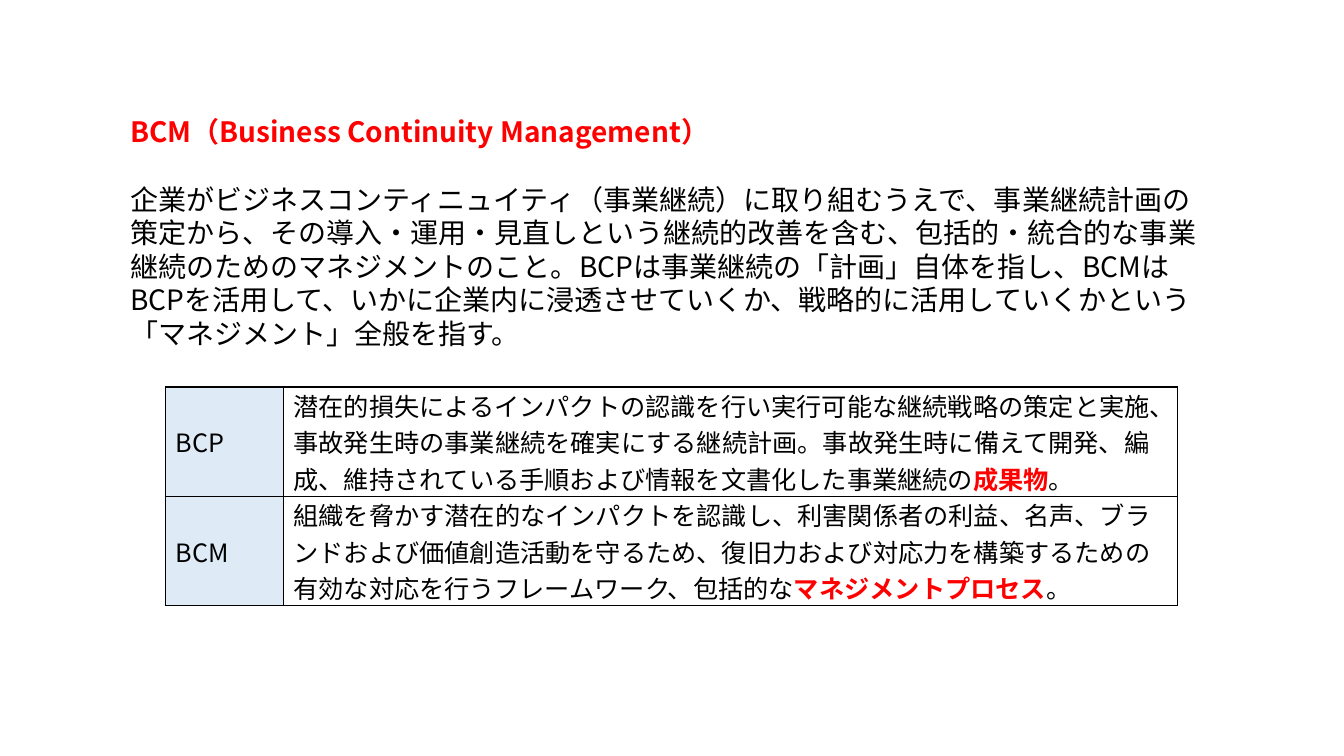
from dataclasses import dataclass

from lxml import etree
from pptx import Presentation
from pptx.dml.color import RGBColor
from pptx.enum import text
from pptx.oxml import ns
from pptx.util import Inches, Pt


@dataclass(frozen=True)
class Theme:
    font: str = "Noto Sans CJK JP"
    ink: str = "000000"
    accent: str = "FF0000"
    label_fill: str = "DEEBF7"
    cell_fill: str = "FFFFFF"
    lead_size: int = 20
    lead_spacing: int = 24
    table_size: int = 18
    table_spacing: int = 26


THEME = Theme()
HEADING = "BCM（Business Continuity Management）"
DEFINITION = (
    "企業がビジネスコンティニュイティ（事業継続）に取り組むうえで、事業継続計画の"
    "策定から、その導入・運用・見直しという継続的改善を含む、包括的・統合的な事業"
    "継続のためのマネジメントのこと。BCPは事業継続の「計画」自体を指し、BCMは"
    "BCPを活用して、いかに企業内に浸透させていくか、戦略的に活用していくかという"
    "「マネジメント」全般を指す。"
)
# Each row: label, explanation, emphasised words, ending
COMPARISON = [
    ("BCP",
     "潜在的損失によるインパクトの認識を行い実行可能な継続戦略の策定と実施、"
     "事故発生時の事業継続を確実にする継続計画。事故発生時に備えて開発、編"
     "成、維持されている手順および情報を文書化した事業継続の",
     "成果物", "。"),
    ("BCM",
     "組織を脅かす潜在的なインパクトを認識し、利害関係者の利益、名声、ブラ"
     "ンドおよび価値創造活動を守るため、復旧力および対応力を構築するための"
     "有効な対応を行うフレームワーク、包括的な",
     "マネジメントプロセス", "。"),
]


def add_run(paragraph, words, size, emphasised=False):
    run = paragraph.add_run()
    run.text = words
    run.font.size = Pt(size)
    run.font.bold = emphasised
    run.font.name = THEME.font
    run.font.color.rgb = RGBColor.from_string(THEME.accent if emphasised else THEME.ink)
    east_asian = etree.SubElement(run.font._element, ns.qn("a:ea"))
    east_asian.set("typeface", THEME.font)


def fill_placeholder(placeholder, box, words, emphasised=False):
    placeholder.left, placeholder.top, placeholder.width, placeholder.height = map(Inches, box)
    frame = placeholder.text_frame
    frame.word_wrap = True
    frame.auto_size = text.MSO_AUTO_SIZE.NONE
    frame.vertical_anchor = text.MSO_ANCHOR.TOP
    paragraph = frame.paragraphs[0]
    properties = paragraph._p.get_or_add_pPr()
    properties.set("marL", "0")
    properties.set("indent", "0")
    etree.SubElement(properties, ns.qn("a:buNone"))
    paragraph.alignment = text.PP_ALIGN.LEFT
    paragraph.space_before = Pt(0)
    paragraph.line_spacing = Pt(THEME.lead_spacing)
    add_run(paragraph, words, THEME.lead_size, emphasised)


def add_lead(slide, box):
    """Place the heading and, one blank line lower, the definition."""
    left, top, width, height = box
    line = THEME.lead_spacing / 72
    heading_height = line + 0.1
    offset = 2 * line
    fill_placeholder(slide.shapes.title, (left, top, width, heading_height), HEADING, True)
    fill_placeholder(slide.placeholders[1], (left, top + offset, width, height - offset), DEFINITION)


def style_cell(cell, fill):
    cell.fill.solid()
    cell.fill.fore_color.rgb = RGBColor.from_string(fill)
    cell.vertical_anchor = text.MSO_ANCHOR.MIDDLE
    cell.margin_top = cell.margin_bottom = 0
    cell.text_frame.paragraphs[0].line_spacing = Pt(THEME.table_spacing)
    properties = cell._tc.get_or_add_tcPr()
    for position, side in enumerate(("lnL", "lnR", "lnT", "lnB")):
        border = etree.Element(ns.qn(f"a:{side}"), w=str(Pt(1)))
        solid = etree.SubElement(border, ns.qn("a:solidFill"))
        etree.SubElement(solid, ns.qn("a:srgbClr"), val=THEME.ink)
        properties.insert(position, border)


def add_comparison(slide, box, label_width):
    left, top, width, height = map(Inches, box)
    table = slide.shapes.add_table(len(COMPARISON), 2, left, top, width, height).table
    table.first_row = table.horz_banding = False
    table.columns[0].width = Inches(label_width)
    table.columns[1].width = width - Inches(label_width)
    for row, (label, explanation, emphasis, ending) in zip(table.rows, COMPARISON):
        label_cell, text_cell = row.cells
        style_cell(label_cell, THEME.label_fill)
        style_cell(text_cell, THEME.cell_fill)
        add_run(label_cell.text_frame.paragraphs[0], label, THEME.table_size)
        paragraph = text_cell.text_frame.paragraphs[0]
        add_run(paragraph, explanation, THEME.table_size)
        add_run(paragraph, emphasis, THEME.table_size, True)
        add_run(paragraph, ending, THEME.table_size)


def main():
    presentation = Presentation()
    presentation.slide_width, presentation.slide_height = Inches(13.33), Inches(7.5)
    slide = presentation.slides.add_slide(presentation.slide_layouts[1])
    add_lead(slide, (1.19, 1.09, 10.95, 2.46))
    add_comparison(slide, (1.64, 3.84, 10.04, 2.17), 1.17)
    presentation.save("out.pptx")


if __name__ == "__main__":
    main()
